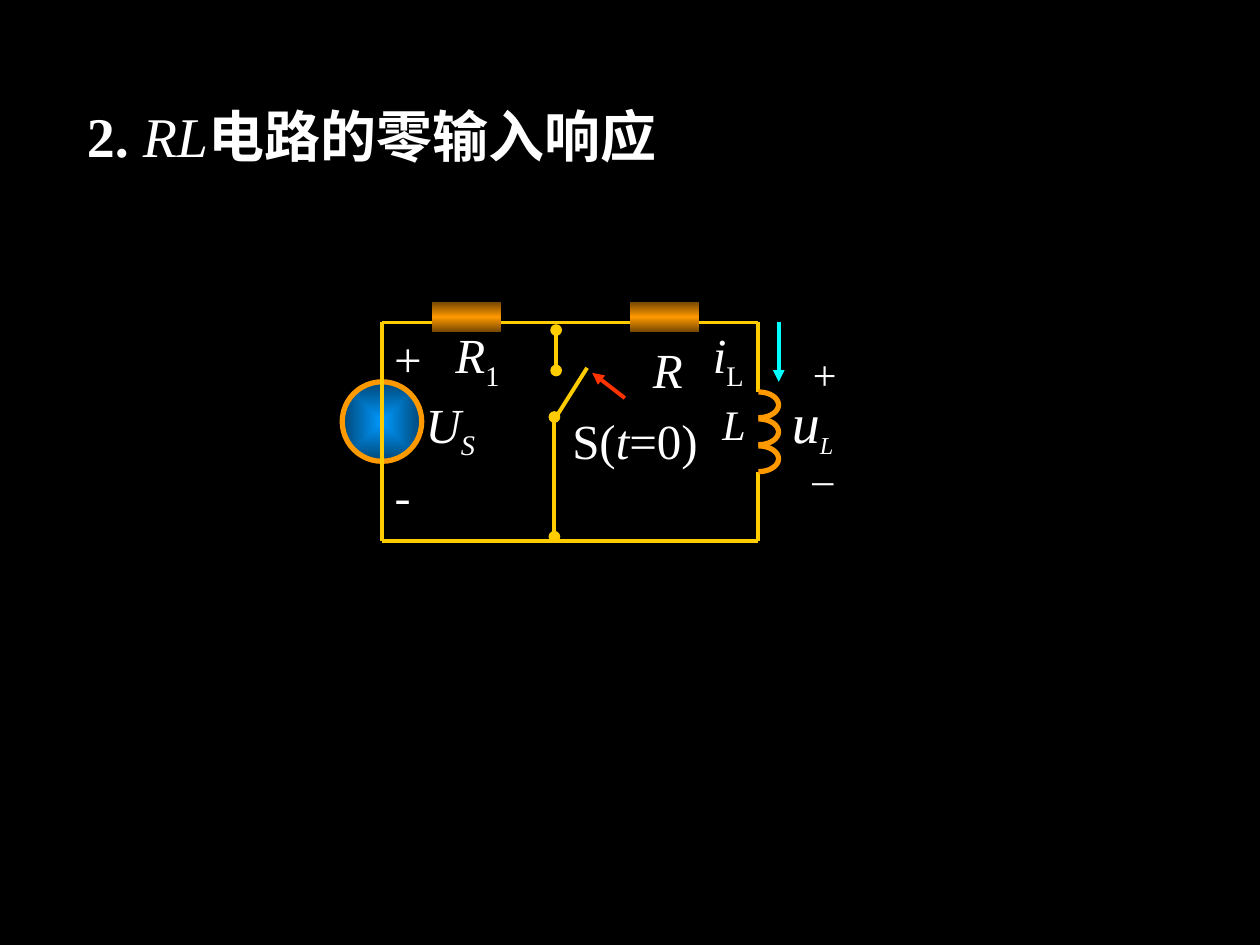
from dataclasses import dataclass
from math import cos, pi, sin

from lxml import etree
from pptx import Presentation
from pptx.dml.color import RGBColor
from pptx.enum.shapes import MSO_CONNECTOR, MSO_SHAPE
from pptx.enum.text import MSO_ANCHOR, MSO_AUTO_SIZE, PP_ALIGN
from pptx.oxml.ns import qn
from pptx.util import Pt

STRAIGHT = MSO_CONNECTOR.STRAIGHT
OVAL, RECTANGLE = MSO_SHAPE.OVAL, MSO_SHAPE.RECTANGLE
LEFT, CENTER = PP_ALIGN.LEFT, PP_ALIGN.CENTER
TOP, MIDDLE = MSO_ANCHOR.TOP, MSO_ANCHOR.MIDDLE
GROW = MSO_AUTO_SIZE.SHAPE_TO_FIT_TEXT

COLORS = {
    "background": "000000", "text": "FFFFFF", "wire": "FFCC00",
    "current": "00FFFF", "motion": "FF3300", "part": "FF9900",
    "part_edge": "764700", "source": "0099FF", "source_edge": "004776",
}
LATIN, CHINESE = "Times New Roman", "Noto Sans CJK SC"

# Circuit frame, in points
X_LEFT, X_RIGHT, Y_TOP, Y_BOTTOM = 218.2, 433.4, 184.3, 308.9
COIL_TOP, COIL_PITCH, COIL_WIDTH, COIL_HEIGHT, COIL_TURNS = 224, 15.4, 11.5, 14.7, 3
COIL_BOTTOM = COIL_TOP + (COIL_TURNS - 1) * COIL_PITCH + COIL_HEIGHT
X_SWITCH = 316.8


@dataclass(frozen=True)
class Span:
    text: str
    italic: bool = False
    bold: bool = False
    subscript: bool = False
    size: float | None = None


@dataclass(frozen=True)
class Label:
    box: tuple[float, float, float, float]
    size: float
    spans: tuple[Span, ...]
    font: str = LATIN
    align: PP_ALIGN = CENTER
    anchor: MSO_ANCHOR = MIDDLE
    wrap: bool = False


@dataclass(frozen=True)
class Wire:
    start: tuple[float, float]
    end: tuple[float, float]
    color: str = "wire"
    head: str | None = None
    tail: str | None = None


TITLE = Label((42.5, 54.7, 385.2, 46.1), 32,
              (Span("2. ", bold=True), Span("RL", italic=True),
               Span("电路的零输入响应", bold=True)),
              align=LEFT, anchor=TOP, wrap=True)

LABELS = (
    Label((399.6, 184.3, 33.1, 41), 28, (Span("i", italic=True), Span("L", subscript=True))),
    Label((317.5, 231.1, 90.7, 41), 28,
          (Span("S("), Span("t", italic=True), Span("=0)")), wrap=True),
    Label((235.4, 223.9, 43.9, 41), 28,
          (Span("U", italic=True), Span("S", italic=True, subscript=True))),
    Label((405.4, 223.9, 28.1, 36), 24, (Span("L", italic=True),)),
    Label((457.2, 195.8, 28.1, 36), 24, (Span("+"),)),
    Label((457.2, 254.9, 25.9, 36), 24, (Span("–"),)),
    Label((445, 218.9, 38.9, 46.1), 32,
          (Span("u", italic=True), Span("L", italic=True, subscript=True, size=24))),
    Label((365.8, 190.1, 31.7, 41), 28, (Span("R", italic=True),)),
    Label((252.7, 184.3, 40.3, 41), 28, (Span("R", italic=True), Span("1", subscript=True))),
    Label((X_LEFT, 184.3, 62.6, 41), 28, (Span("+"),), align=LEFT, anchor=TOP, wrap=True),
    Label((X_LEFT, 263.5, 62.6, 41), 28, (Span("-"),), font=CHINESE,
          align=LEFT, anchor=TOP, wrap=True),
)

WIRES = (
    Wire((X_LEFT, Y_TOP), (X_RIGHT, Y_TOP)),
    Wire((X_LEFT, Y_TOP), (X_LEFT, Y_BOTTOM)),
    Wire((X_LEFT, Y_BOTTOM), (X_RIGHT, Y_BOTTOM)),
    Wire((X_RIGHT, Y_BOTTOM), (X_RIGHT, COIL_BOTTOM)),
    Wire((X_RIGHT, Y_TOP), (X_RIGHT, COIL_TOP)),
    Wire((X_SWITCH, 239.8), (335.5, 210.2)),
    Wire((317.8, 188.6), (317.8, 211.7), head="oval", tail="oval"),
    Wire((X_SWITCH, 238.3), (X_SWITCH, 306.7), head="oval", tail="oval"),
    Wire((445, Y_TOP), (445, 218.2), "current", tail="triangle"),
    Wire((357.1, 227.5), (338.4, 213.1), "motion", tail="triangle"),
)


def rgb(name: str) -> RGBColor:
    return RGBColor.from_string(COLORS[name])


def set_line(line, color: str, width: float) -> None:
    line.color.rgb = rgb(color)
    line.width = Pt(width)


def set_gradient(shape, stops: dict[int, str], radial: bool = False) -> None:
    """Fill with stops {percent: colour name}, from the centre out or top down."""
    shape.fill.gradient()
    gradient = shape._element.spPr.find(qn("a:gradFill"))
    for child in list(gradient):
        gradient.remove(child)
    stop_list = etree.SubElement(gradient, qn("a:gsLst"))
    for percent, name in stops.items():
        stop = etree.SubElement(stop_list, qn("a:gs"), pos=str(percent * 1000))
        etree.SubElement(stop, qn("a:srgbClr"), val=COLORS[name])
    if radial:
        spread = etree.SubElement(gradient, qn("a:path"), {"path": "shape"})
        sides = dict.fromkeys("ltrb", "50000")
        etree.SubElement(spread, qn("a:fillToRect"), sides)
    else:
        etree.SubElement(gradient, qn("a:lin"), ang="5400000", scaled="0")


def add_label(shapes, label: Label) -> None:
    box = shapes.add_textbox(*map(Pt, label.box))
    frame = box.text_frame
    layout = {"word_wrap": label.wrap, "vertical_anchor": label.anchor, "auto_size": GROW}
    for name, value in layout.items():
        setattr(frame, name, value)
    para = frame.paragraphs[0]
    para.alignment = label.align
    for span in label.spans:
        run = para.add_run()
        run.text = span.text
        formats = {"name": label.font, "size": Pt(span.size or label.size),
                   "bold": span.bold, "italic": span.italic}
        for name, value in formats.items():
            setattr(run.font, name, value)
        run.font.color.rgb = rgb("text")
        properties = run._r.get_or_add_rPr()
        etree.SubElement(properties, qn("a:ea"), typeface=CHINESE)
        if span.subscript:
            properties.set("baseline", "-25000")


def add_wire(shapes, wire: Wire) -> None:
    connector = shapes.add_connector(STRAIGHT, *map(Pt, wire.start + wire.end))
    set_line(connector.line, wire.color, 2.25)
    outline = connector.line._get_or_add_ln()
    for tag, kind in (("a:headEnd", wire.head), ("a:tailEnd", wire.tail)):
        if kind:
            etree.SubElement(outline, qn(tag), type=kind)
    etree.SubElement(connector._element.spPr, qn("a:effectLst"))


def add_source(shapes) -> None:
    circle = shapes.add_shape(OVAL, Pt(195.6), Pt(218.2), Pt(45.4), Pt(45.4))
    circle.shadow.inherit = False
    set_gradient(circle, {0: "source", 100: "source_edge"}, radial=True)
    set_line(circle.line, "part", 3)


def add_resistor(shapes, left: float) -> None:
    resistor = shapes.add_shape(RECTANGLE, Pt(left), Pt(172.6), Pt(39.5), Pt(17.1))
    resistor.shadow.inherit = False
    set_gradient(resistor, {0: "part_edge", 50: "part", 100: "part_edge"})
    resistor.line.fill.background()


def add_coil_turn(shapes, top: float, steps: int = 24) -> None:
    """Draw one open half ellipse that bulges to the right."""
    radius = COIL_HEIGHT / 2
    angles = [pi * step / steps for step in range(steps + 1)]
    points = [(Pt(X_RIGHT + COIL_WIDTH * sin(angle)), Pt(top + radius - radius * cos(angle)))
              for angle in angles]
    builder = shapes.build_freeform(*points[0])
    builder.add_line_segments(points[1:], close=False)
    turn = builder.convert_to_shape()
    turn.shadow.inherit = False
    turn.fill.background()
    set_line(turn.line, "part", 3)


def main() -> None:
    deck = Presentation()
    deck.slide_width, deck.slide_height = Pt(720), Pt(540)
    page = deck.slides.add_slide(deck.slide_layouts[6])
    page.background.fill.solid()
    page.background.fill.fore_color.rgb = rgb("background")
    add_label(page.shapes, TITLE)

    circuit = page.shapes.add_group_shape().shapes
    add_source(circuit)
    for wire in WIRES:
        add_wire(circuit, wire)
    for left in (246.9, 360):
        add_resistor(circuit, left)
    for turn in range(COIL_TURNS):
        add_coil_turn(circuit, COIL_TOP + turn * COIL_PITCH)
    for label in LABELS:
        add_label(circuit, label)
    deck.save("out.pptx")


if __name__ == "__main__":
    main()
